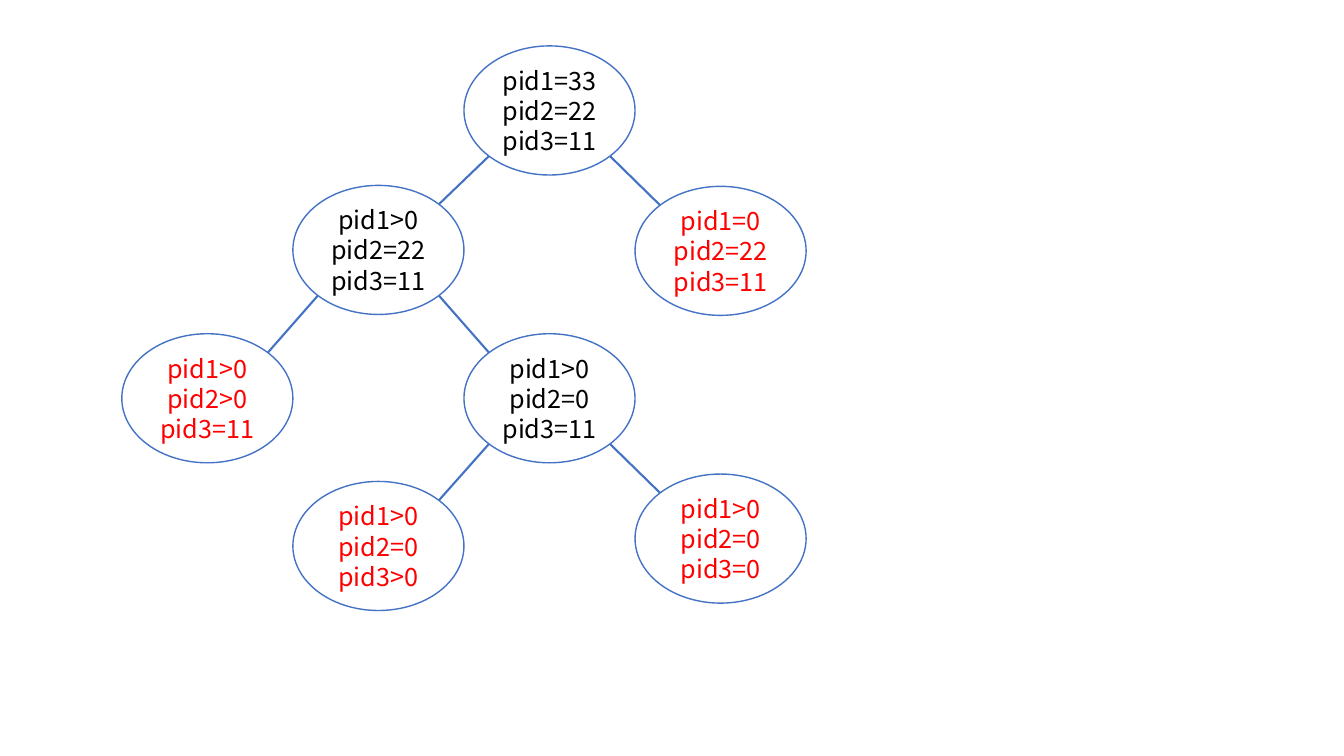
from math import sqrt

from lxml import etree
from pptx import Presentation
from pptx.dml.color import RGBColor
from pptx.enum.shapes import MSO_CONNECTOR, MSO_SHAPE
from pptx.enum.text import MSO_ANCHOR, PP_ALIGN
from pptx.oxml.ns import qn
from pptx.util import Pt

ELLIPSE = MSO_SHAPE.OVAL
STRAIGHT = MSO_CONNECTOR.STRAIGHT
CENTER = PP_ALIGN.CENTER
MIDDLE = MSO_ANCHOR.MIDDLE

BLUE = RGBColor(0x44, 0x72, 0xC4)
WHITE = RGBColor(0xFF, 0xFF, 0xFF)
BLACK = RGBColor(0x00, 0x00, 0x00)
RED = RGBColor(0xFF, 0x00, 0x00)

FONT = "Noto Sans CJK SC"
NODE_WIDTH = 122.2
NODE_HEIGHT = 92.2
TREE_LEFT = 87

# key: (column, top, values of pid1 to pid3, text colour)
NODES = {
    "start": (2, 32.8, ("=33", "=22", "=11"), BLACK),
    "first running": (1, 132.4, (">0", "=22", "=11"), BLACK),
    "first child": (3, 133.1, ("=0", "=22", "=11"), RED),
    "second running": (2, 238.4, (">0", "=0", "=11"), BLACK),
    "second parent": (0, 238.4, (">0", ">0", "=11"), RED),
    "third parent": (1, 343.9, (">0", "=0", ">0"), RED),
    "third child": (3, 338.6, (">0", "=0", "=0"), RED),
}

BRANCHES = [
    ("start", "first running"),
    ("start", "first child"),
    ("first running", "second parent"),
    ("first running", "second running"),
    ("second running", "third parent"),
    ("second running", "third child"),
]


def node_left(column):
    return TREE_LEFT + column * NODE_WIDTH


def add_node(shapes, column, top, pid_values, text_color):
    node = shapes.add_shape(ELLIPSE, Pt(node_left(column)), Pt(top),
                            Pt(NODE_WIDTH), Pt(NODE_HEIGHT))
    node.shadow.inherit = False
    node.fill.solid()
    node.fill.fore_color.rgb = WHITE
    node.line.color.rgb = BLUE
    node.line.width = Pt(1)

    frame = node.text_frame
    frame_format = {"word_wrap": True, "vertical_anchor": MIDDLE,
                    "margin_top": 0, "margin_bottom": 0}
    for attribute, value in frame_format.items():
        setattr(frame, attribute, value)
    frame.text = "\n".join(f"pid{number}{value}"
                           for number, value in enumerate(pid_values, 1))
    for paragraph in frame.paragraphs:
        paragraph.alignment = CENTER
        paragraph.line_spacing = Pt(21.6)
        font = paragraph.runs[0].font
        for attribute, value in {"name": FONT, "size": Pt(18)}.items():
            setattr(font, attribute, value)
        font.color.rgb = text_color


def diagonal_point(key, side, level):
    """Point on a node's outline at 45 degrees; side and level are -1 or 1."""
    column, top = NODES[key][:2]
    x = node_left(column) + NODE_WIDTH / 2 * (1 + side / sqrt(2))
    y = top + NODE_HEIGHT / 2 * (1 + level / sqrt(2))
    return Pt(x), Pt(y)


def add_branch(shapes, parent, child):
    side = 1 if NODES[child][0] > NODES[parent][0] else -1
    branch = shapes.add_connector(STRAIGHT, *diagonal_point(parent, side, 1),
                                  *diagonal_point(child, -side, -1))
    branch.line.color.rgb = BLUE
    branch.line.width = Pt(1.5)
    etree.SubElement(branch._element.spPr, qn("a:effectLst"))


def main():
    presentation = Presentation()
    presentation.slide_width = Pt(960)
    presentation.slide_height = Pt(540)
    slide = presentation.slides.add_slide(presentation.slide_layouts[6])
    tree = slide.shapes.add_group_shape().shapes
    for node in NODES.values():
        add_node(tree, *node)
    for parent, child in BRANCHES:
        add_branch(tree, parent, child)
    presentation.save("out.pptx")


if __name__ == "__main__":
    main()
